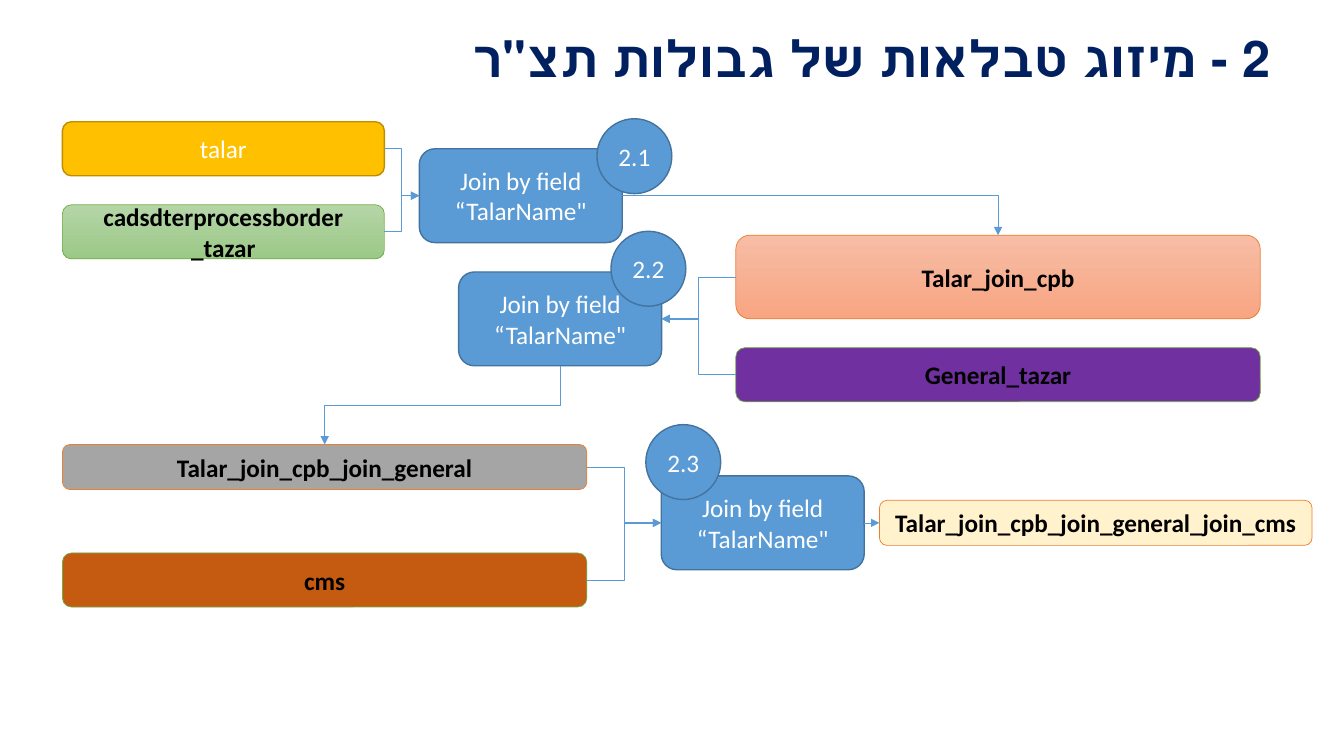
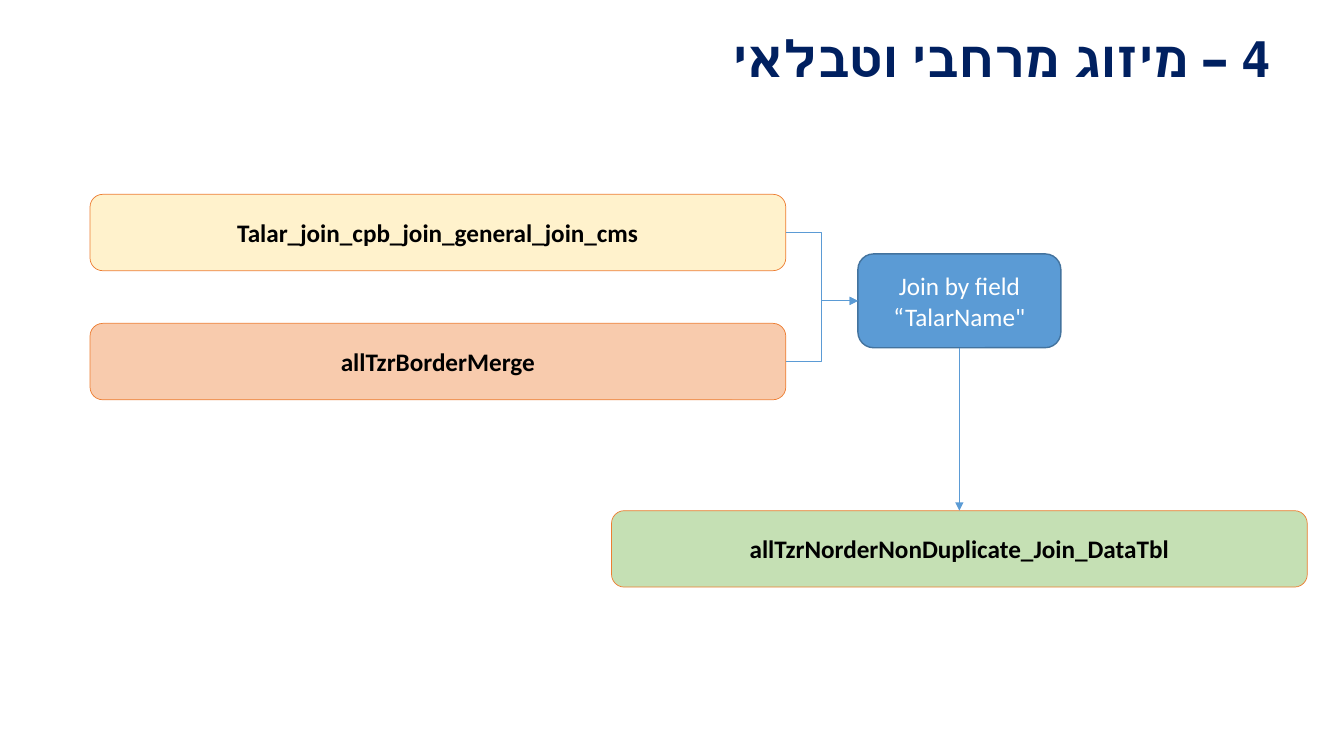
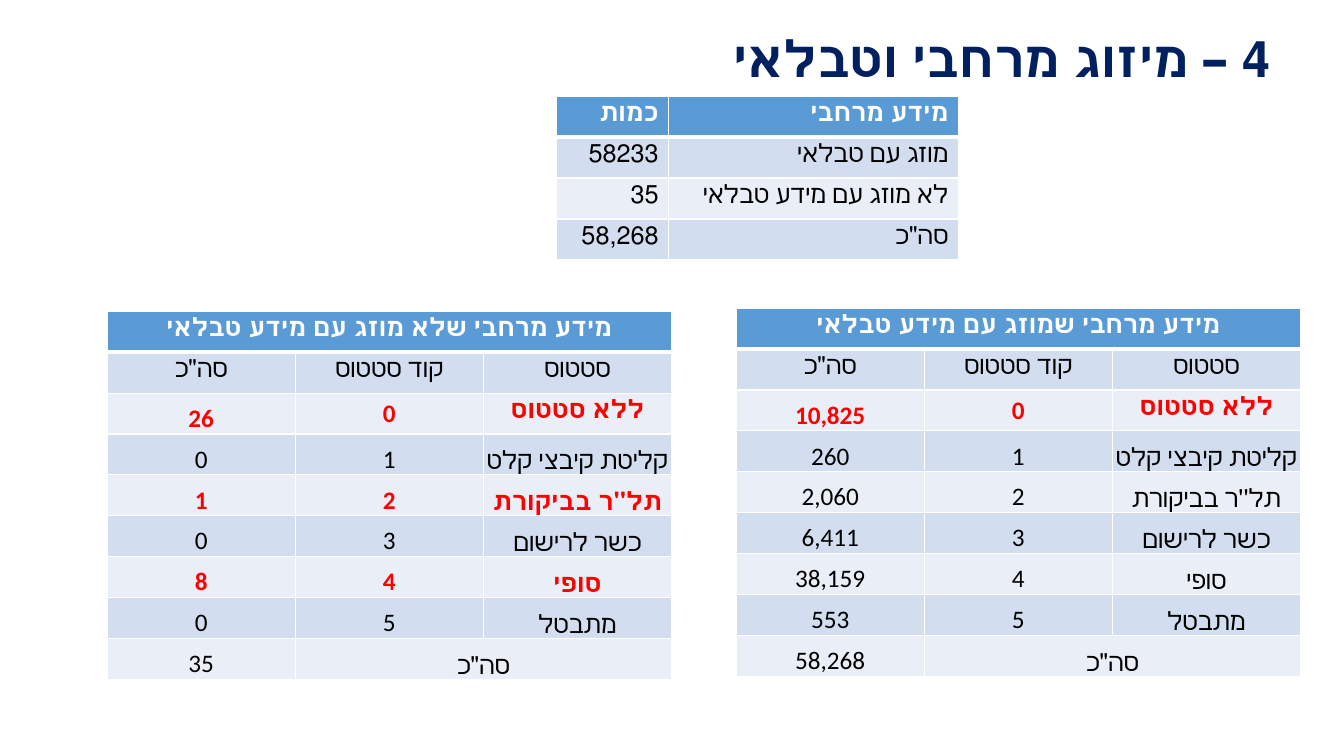
from pptx import Presentation
from pptx.dml.color import RGBColor
from pptx.enum.shapes import MSO_CONNECTOR, MSO_SHAPE
from pptx.enum.text import MSO_ANCHOR, MSO_AUTO_SIZE, PP_ALIGN
from pptx.oxml import parse_xml
from pptx.oxml.ns import nsdecls, qn
from pptx.util import Pt

ROUNDED, OVAL = MSO_SHAPE.ROUNDED_RECTANGLE, MSO_SHAPE.OVAL
STRAIGHT, ELBOW = MSO_CONNECTOR.STRAIGHT, MSO_CONNECTOR.ELBOW
CENTER, RIGHT_ALIGN = PP_ALIGN.CENTER, PP_ALIGN.RIGHT
TOP_ANCHOR, MIDDLE, BOTTOM_ANCHOR = MSO_ANCHOR.TOP, MSO_ANCHOR.MIDDLE, MSO_ANCHOR.BOTTOM
TOP, LEFT, BOTTOM, RIGHT = range(4)  # connection sites of a rectangle

FONT = "Calibri"
COLORS = {
    "navy": "002060", "white": "FFFFFF", "black": "000000", "red": "FF0000",
    "blue": "5B9BD5", "blue edge": "43739E", "gold": "FFC000", "gold edge": "BD8E00",
    "orange": "ED7D31", "green": "70AD47", "purple": "7030A0", "gray": "A5A5A5",
    "rust": "C55A11", "cream": "FFF2CC", "peach": "F8CBAD", "mint": "C5E0B4",
    "green light": "B5D5A7", "green deep": "9CC987",
    "salmon light": "F7BDA5", "salmon deep": "F8A582",
    "band dark": "D2DEEF", "band light": "EAEFF7",
}
JOIN_TEXT = "Join by field “TalarName\""
JOIN_SIZE = (145, 67)
ROW_HEIGHT = 29.2
STATUSES = ["ללא סטטוס", "קליטת קיבצי קלט", "תל''ר בביקורת",
            "כשר לרישום", "סופי", "מתבטל"]


def rgb(name):
    return RGBColor.from_string(COLORS[name])


def write(frame, text, color, size=18, bold=False, align=CENTER, rtl=False):
    frame.text = text
    paragraph = frame.paragraphs[0]
    paragraph.alignment = align
    font = paragraph.font
    font.name, font.size, font.bold = FONT, Pt(size), bold
    font.color.rgb = rgb(color)
    if rtl:
        paragraph._p.get_or_add_pPr().set("rtl", "1")
    return paragraph


# Slides and titles
def set_title_layout(layout):
    title = layout.placeholders[0]
    title.left, title.top, title.width, title.height = Pt(44.6), Pt(19.4), Pt(870), Pt(49)


def add_titled_slide(prs, layout, text):
    slide = prs.slides.add_slide(layout)
    frame = slide.shapes.title.text_frame
    frame.auto_size = MSO_AUTO_SIZE.NONE
    frame.vertical_anchor = MIDDLE
    write(frame, text, "navy", 36, True, RIGHT_ALIGN, rtl=True).line_spacing = 0.9
    return slide


# Diagram parts
def add_node(slide, preset, box, text, fill, edge, edge_width, color, bold):
    node = slide.shapes.add_shape(preset, *map(Pt, box))
    node.shadow.inherit = False
    if isinstance(fill, tuple):
        node.fill.gradient()
        node.fill.gradient_angle = 270
        for stop, name in zip(node.fill.gradient_stops, fill):
            stop.color.rgb = rgb(name)
    else:
        node.fill.solid()
        node.fill.fore_color.rgb = rgb(fill)
    node.line.color.rgb = rgb(edge)
    node.line.width = Pt(edge_width)
    node.text_frame.word_wrap = True
    node.text_frame.vertical_anchor = MIDDLE
    write(node.text_frame, text, color, bold=bold)
    return node


def add_dataset(slide, box, text, fill, edge="orange"):
    return add_node(slide, ROUNDED, box, text, fill, edge, 0.5, "black", True)


def add_join(slide, left, top):
    return add_node(slide, ROUNDED, (left, top, *JOIN_SIZE), JOIN_TEXT,
                    "blue", "blue edge", 1, "white", False)


def add_step(slide, left, top, number):
    add_node(slide, OVAL, (left, top, 53.5, 53.5), number,
             "blue", "blue edge", 1, "white", False)


def add_arrow(slide, source, source_site, target, target_site, kind=ELBOW):
    arrow = slide.shapes.add_connector(kind, 0, 0, 0, 0)
    arrow.begin_connect(source, source_site)
    arrow.end_connect(target, target_site)
    arrow.line.color.rgb = rgb("blue")
    arrow.line.width = Pt(0.5)
    arrow.line._get_or_add_ln().append(
        parse_xml(f'<a:tailEnd {nsdecls("a")} type="triangle"/>'))
    properties = arrow._element.spPr
    properties.append(parse_xml(f'<a:effectLst {nsdecls("a")}/>'))
    if kind == ELBOW and source_site == RIGHT and target_site == TOP:
        properties.find(qn("a:prstGeom")).set("prst", "bentConnector2")
    elif kind == ELBOW and source_site == BOTTOM:
        turn_downward(arrow)
    return arrow


def turn_downward(arrow):
    """Rotate an elbow so that it leaves downward and ends lower left."""
    width, height = arrow.width, arrow.height
    arrow.left += (width - height) // 2
    arrow.top += (height - width) // 2
    arrow.width, arrow.height = height, width
    xfrm = arrow._element.spPr.find(qn("a:xfrm"))
    xfrm.attrib.pop("flipH", None)
    xfrm.set("rot", "5400000")


# Tables
def style_cell(cell, fill, header):
    for side in ("L", "R", "T", "B"):
        width = Pt(3 if header and side == "B" else 1)
        cell._tc.get_or_add_tcPr().append(parse_xml(
            f'<a:ln{side} {nsdecls("a")} w="{width}"><a:solidFill>'
            f'<a:srgbClr val="{COLORS["white"]}"/></a:solidFill></a:ln{side}>'))
    cell.fill.solid()
    cell.fill.fore_color.rgb = rgb(fill)


def add_grid(slide, left, top, widths, row_count):
    table = slide.shapes.add_table(row_count, len(widths), Pt(left), Pt(top),
                                   Pt(sum(widths)), Pt(ROW_HEIGHT * row_count)).table
    for column, width in zip(table.columns, widths):
        column.width = Pt(width)
    for r, row in enumerate(table.rows):
        row.height = Pt(ROW_HEIGHT)
        fill = "blue" if r == 0 else "band dark" if r % 2 else "band light"
        for cell in row.cells:
            style_cell(cell, fill, r == 0)
    return table


def add_summary_table(slide, left, top, rows):
    table = add_grid(slide, left, top, (80, 207), len(rows))
    for r, row in enumerate(rows):
        for c, text in enumerate(row):
            write(table.cell(r, c).text_frame, text, "black" if r else "white",
                  bold=r == 0, align=RIGHT_ALIGN, rtl=True)


def add_status_table(slide, left, top, heading, counts, total, red_codes):
    rows = [[heading], ["סה\"כ", "קוד סטטוס", "סטטוס"]]
    rows += [[count, str(code), status]
             for code, (count, status) in enumerate(zip(counts, STATUSES))]
    rows.append([total, "סה\"כ"])
    table = add_grid(slide, left, top, (134.4,) * 3, len(rows))
    table.cell(0, 0).merge(table.cell(0, 2))
    table.cell(len(rows) - 1, 1).merge(table.cell(len(rows) - 1, 2))
    for r, row in enumerate(rows):
        red = r - 2 in red_codes
        color = "white" if r == 0 else "red" if red else "black"
        for c, text in enumerate(row):
            cell = table.cell(r, c)
            write(cell.text_frame, text, color, bold=r == 0 or red)
            if r > 2 or (r == 2 and c == 0):
                cell.vertical_anchor = BOTTOM_ANCHOR
                cell.margin_left = cell.margin_right = cell.margin_top = Pt(0.72)
                cell.margin_bottom = 0
            else:
                cell.vertical_anchor = TOP_ANCHOR


# Slides
def build_table_merge(prs, layout):
    slide = add_titled_slide(prs, layout, "2 - מיזוג טבלאות של גבולות תצ\"ר")
    border = add_dataset(slide, (44.6, 146.3, 230, 38.6), "cadsdterprocessborder _tazar",
                         ("green light", "green deep"), "green")
    talar = add_node(slide, ROUNDED, (44.6, 87, 230, 38.6), "talar",
                     "gold", "gold edge", 1, "white", False)
    talar_cpb = add_dataset(slide, (525.6, 168, 374.6, 59.6), "Talar_join_cpb",
                            ("salmon light", "salmon deep"))
    general = add_dataset(slide, (525.6, 248.4, 374.6, 38.6), "General_tazar",
                          "purple", "green")
    talar_general = add_dataset(slide, (44.6, 317.5, 374.6, 32.2),
                                "Talar_join_cpb_join_general", "gray")
    cms = add_dataset(slide, (44.6, 395, 374.6, 38.6), "cms", "rust", "green")
    joined_all = add_dataset(slide, (628.2, 357.4, 309, 32.2),
                             "Talar_join_cpb_join_general_join_cms", "cream")
    joins = [add_join(slide, *at) for at in ((299.5, 106.3), (327.6, 194.3), (472.3, 340))]

    for source in (talar, border):
        add_arrow(slide, source, RIGHT, joins[0], LEFT)
    add_arrow(slide, joins[0], RIGHT, talar_cpb, TOP)
    for source in (general, talar_cpb):
        add_arrow(slide, source, LEFT, joins[1], RIGHT)
    add_arrow(slide, joins[1], BOTTOM, talar_general, TOP)
    for source in (talar_general, cms):
        add_arrow(slide, source, RIGHT, joins[2], LEFT)
    add_arrow(slide, joins[2], RIGHT, joined_all, LEFT, STRAIGHT)

    for step, at in enumerate(((426.4, 84.8), (436.4, 165.2), (461.3, 303.3)), 1):
        add_step(slide, *at, f"2.{step}")


def build_spatial_merge(prs, layout):
    slide = add_titled_slide(prs, layout, "4 – מיזוג מרחבי וטבלאי")
    join = add_join(slide, 612.8, 181.4)
    size = (497, 54.6)
    tabular = add_dataset(slide, (64.3, 138.8, *size),
                          "Talar_join_cpb_join_general_join_cms", "cream")
    spatial = add_dataset(slide, (64.3, 231, *size), "allTzrBorderMerge", "peach")
    result = add_dataset(slide, (436.8, 364.8, *size),
                         "allTzrNorderNonDuplicate_Join_DataTbl", "mint")
    for source in (tabular, spatial):
        add_arrow(slide, source, RIGHT, join, LEFT)
    add_arrow(slide, join, BOTTOM, result, TOP, STRAIGHT)


def build_merge_results(prs, layout):
    slide = add_titled_slide(prs, layout, "4 – מיזוג מרחבי וטבלאי")
    add_summary_table(slide, 397.6, 68.8, [
        ("כמות", "מידע מרחבי"),
        ("58233", "מוזג עם טבלאי"),
        ("35", "לא מוזג עם מידע טבלאי"),
        ("58,268", "סה\"כ"),
    ])
    add_status_table(slide, 525.8, 220.2, "מידע מרחבי שמוזג עם מידע טבלאי",
                     ["10,825", "260", "2,060", "6,411", "38,159", "553"], "58,268", {0})
    add_status_table(slide, 76.5, 222.4, "מידע מרחבי שלא מוזג עם מידע טבלאי",
                     ["26", "0", "1", "0", "8", "0"], "35", {0, 2, 4})


def main():
    prs = Presentation()
    prs.slide_width, prs.slide_height = Pt(960), Pt(540)
    layout = prs.slide_layouts[5]
    set_title_layout(layout)
    build_table_merge(prs, layout)
    build_spatial_merge(prs, layout)
    build_merge_results(prs, layout)
    prs.save("out.pptx")


if __name__ == "__main__":
    main()
